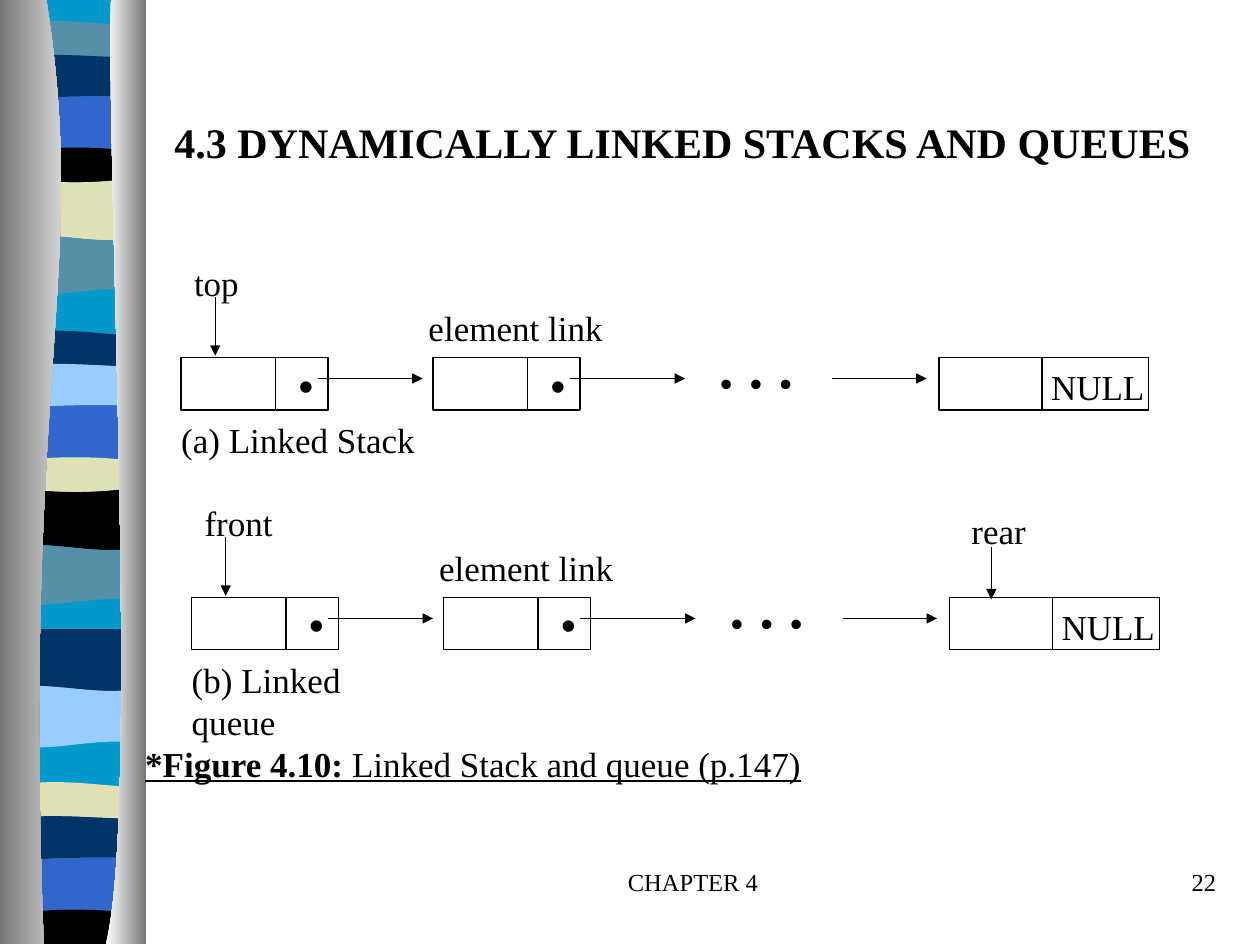
from itertools import pairwise

from lxml.etree import Element, SubElement
from pptx import Presentation
from pptx.dml.color import RGBColor
from pptx.enum.shapes import MSO_CONNECTOR, MSO_SHAPE
from pptx.enum.text import MSO_ANCHOR, PP_ALIGN
from pptx.oxml.ns import qn
from pptx.util import Pt

COLOURS = {
    "ink": "000000",
    "cyan": "0099CC",
    "slate": "5490A8",
    "navy": "003366",
    "blue": "3366CC",
    "sand": "E1E1B7",
    "sky": "99CCFF",
    "white": "FFFFFF",
    "grey": "767676",
}
SERIF = "Times New Roman"
RIBBON_XS = (4, 30, 56, 82)
SLIDE_BOTTOM = 539.3
WAVES = {
    "flat": (0, 0, 0, 0),
    "crest": (0, -6.5, -0.7, 0),
    "lift": (0, -3.6, 0, 0),
    "level": (2, -0.7, -0.7, 0),
    "arch": (0, -3.6, -3.6, 0),
    "sag": (0, 4.3, 4.3, 0),
    "rolling": (0, -4.3, 5.8, 0),
    "counter": (0, 5.8, -5.8, 0),
}
BANDS = [
    ("cyan", 0, "flat"),
    ("slate", 15, "crest"),
    ("navy", 33, "lift"),
    ("blue", 55.5, "level"),
    ("ink", 87, "arch"),
    ("sand", 101, "sag"),
    ("slate", 135.5, "rolling"),
    ("cyan", 167, "counter"),
    ("navy", 192, "crest"),
    ("sky", 209.5, "lift"),
    ("blue", 232, "level"),
    ("sand", 264, "arch"),
    ("ink", 278, "sag"),
    ("slate", 312.5, "rolling"),
    ("cyan", 344, "counter"),
    ("navy", 359.5, "flat"),
    ("sky", 393, "rolling"),
    ("cyan", 425.5, "counter"),
    ("sand", 450, "crest"),
    ("navy", 468, "lift"),
    ("blue", 490.5, "level"),
    ("ink", 522.5, "arch"),
    ("cyan", SLIDE_BOTTOM, "flat"),
]


def colour(name):
    return RGBColor.from_string(COLOURS[name])


def bend(lines):
    curve = Element(qn("a:cubicBezTo"))
    lines[0].addprevious(curve)
    for line in lines:
        curve.append(line[0])
        line.getparent().remove(line)


def add_outline(slide, points, curve_starts=()):
    corners = [(Pt(x), Pt(y)) for x, y in points]
    builder = slide.shapes.build_freeform(*corners[0])
    builder.add_line_segments(corners[1:], close=True)
    shape = builder.convert_to_shape()
    shape.shadow.inherit = False
    shape.line.fill.background()
    lines = list(shape._element.iter(qn("a:lnTo")))
    for start in curve_starts:
        bend(lines[start:start + 3])
    return shape


def fill_solid(shape, name):
    shape.fill.solid()
    shape.fill.fore_color.rgb = colour(name)


def wave_points(top, wave):
    return [(x, top + offset) for x, offset in zip(RIBBON_XS, WAVES[wave])]


def add_band(slide, band, following):
    name, top, wave = band
    lower_edge = wave_points(*following[1:])
    points = wave_points(top, wave) + lower_edge[::-1]
    fill_solid(add_outline(slide, points, (0, 4)), name)


def add_curtain(slide, edge_xs, edge_ys, outer_x, gradient):
    points = list(zip(edge_xs, edge_ys)) + [(outer_x, SLIDE_BOTTOM), (outer_x, 0)]
    shape = add_outline(slide, points, (0,))
    shape.fill.gradient()
    shape.fill.gradient_angle = 0
    for stop, (position, name) in zip(shape.fill.gradient_stops, enumerate(gradient)):
        stop.position = position
        stop.color.rgb = colour(name)


def add_ribbon(slide):
    left, right = RIBBON_XS[0], RIBBON_XS[-1]
    backing = add_outline(
        slide, [(left, 0), (right, 0), (right, SLIDE_BOTTOM), (left, SLIDE_BOTTOM)])
    fill_solid(backing, "cyan")
    for band, following in pairwise(BANDS):
        if band[0] != "cyan":
            add_band(slide, band, following)
    heights = (0, 155.5, 213, SLIDE_BOTTOM)
    add_curtain(slide, (26.5, 51, 12.5, 25), heights, 0, ("grey", "white"))
    heights = (0, 90, 465, SLIDE_BOTTOM)
    add_curtain(slide, (63.5, 60.5, 80, 60.5), heights, 83.5, ("white", "grey"))


def format_paragraph(paragraph, size, name=SERIF, alignment=PP_ALIGN.LEFT, bold=False):
    paragraph.alignment = alignment
    paragraph.font.size = Pt(size)
    paragraph.font.name = name
    paragraph.font.bold = bold
    paragraph.font.color.rgb = colour("ink")


def add_text(slide, text, left, top, width, size=20, name=SERIF,
             alignment=PP_ALIGN.LEFT, tabs=()):
    box = slide.shapes.add_textbox(Pt(left), Pt(top), Pt(width), Pt(size * 1.2 + 7.5))
    box.text_frame.word_wrap = True
    paragraph = box.text_frame.paragraphs[0]
    paragraph.text = text
    if tabs:
        tab_list = SubElement(paragraph._p.get_or_add_pPr(), qn("a:tabLst"))
        for position in tabs:
            SubElement(tab_list, qn("a:tab"), pos=str(Pt(position)), algn="l")
    format_paragraph(paragraph, size, name, alignment)
    return paragraph


def add_line(slide, start_x, start_y, end_x, end_y, arrow=True):
    connector = slide.shapes.add_connector(
        MSO_CONNECTOR.STRAIGHT, Pt(start_x), Pt(start_y), Pt(end_x), Pt(end_y))
    connector.line.width = Pt(0.75)
    connector.line.color.rgb = colour("ink")
    if arrow:
        SubElement(connector.line._get_or_add_ln(), qn("a:tailEnd"), type="triangle")
    SubElement(connector._element.spPr, qn("a:effectLst"))


def add_node(slide, left, top, width, divider):
    shape = slide.shapes.add_shape(
        MSO_SHAPE.RECTANGLE, Pt(left), Pt(top), Pt(width), Pt(30))
    shape.shadow.inherit = False
    shape.fill.background()
    shape.line.width = Pt(0.75)
    shape.line.color.rgb = colour("ink")
    add_line(slide, left + divider, top, left + divider, top + 30, arrow=False)


def add_linked_list(slide, left, top, head, caption):
    for node_left in (left, left + 144):
        add_node(slide, node_left, top, 84, 54)
        add_text(slide, "•", node_left + 60, top - 2.7, 26, 24, "Arial")
    add_node(slide, left + 433, top, 120, 59)
    add_text(slide, "NULL", left + 490, top + 1.2, 70)
    for start, end in ((78, 138), (222, 288), (372, 426)):
        add_line(slide, left + start, top + 12, left + end, top + 12)
    add_text(slide, "•\t•\t•", left + 301, top - 1.2, 58, name="Arial", tabs=(17, 34))
    add_text(slide, head, left + 0.3, top - 58.3, 58)
    add_line(slide, left + 19.5, top - 34.5, left + 19.5, top - 1)
    add_text(slide, "element link", left + 134.3, top - 32.5, 114)
    add_text(slide, caption, left - 7, top + 31.2, 152)


def add_title(slide, text):
    title = slide.shapes.title
    title.left, title.top, title.width, title.height = Pt(92.4), Pt(36), Pt(612), Pt(90)
    title.text_frame.text = text
    title.text_frame.vertical_anchor = MSO_ANCHOR.MIDDLE
    format_paragraph(title.text_frame.paragraphs[0], 24, bold=True)


def add_figure_caption(slide, label, text):
    paragraph = add_text(slide, label, 75.9, 420.5, 390)
    paragraph.runs[0].font.bold = True
    paragraph.add_run().text = text
    paragraph.font.underline = True


def main():
    presentation = Presentation()
    presentation.slide_width, presentation.slide_height = Pt(720), Pt(540)
    slide = presentation.slides.add_slide(presentation.slide_layouts[5])
    add_ribbon(slide)
    add_text(slide, "CHAPTER 4", 282, 492, 228, 14, alignment=PP_ALIGN.CENTER)
    add_text(slide, "22", 552, 492, 150, 14, alignment=PP_ALIGN.RIGHT)
    add_title(slide, "4.3 DYNAMICALLY LINKED STACKS AND QUEUES")
    add_linked_list(slide, 103.5, 204.3, "top", "(a) Linked Stack")
    queue_left, queue_top = 109.5, 341.4
    add_linked_list(slide, queue_left, queue_top, "front", "(b) Linked queue")
    add_line(slide, queue_left + 457, queue_top - 29, queue_left + 457, queue_top + 1)
    add_text(slide, "rear", queue_left + 438.5, queue_top - 53.6, 48)
    add_figure_caption(slide, "*Figure 4.10: ", "Linked Stack and queue (p.147)")
    presentation.save("out.pptx")


if __name__ == "__main__":
    main()
